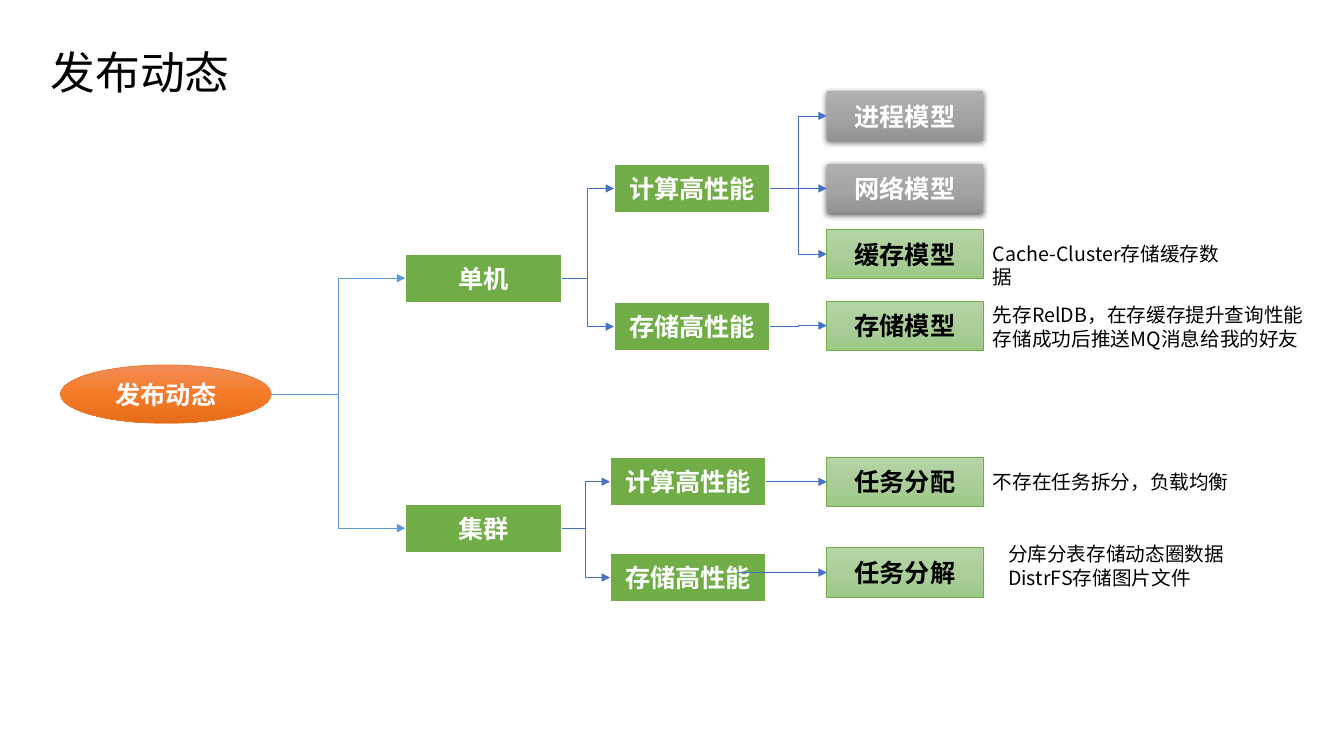
from lxml import etree
from pptx import Presentation
from pptx.dml.color import RGBColor
from pptx.enum.shapes import MSO_CONNECTOR, MSO_SHAPE
from pptx.enum.text import MSO_ANCHOR, PP_ALIGN
from pptx.oxml.ns import qn
from pptx.util import Inches, Pt

ELBOW = MSO_CONNECTOR.ELBOW
RECTANGLE, OVAL = MSO_SHAPE.RECTANGLE, MSO_SHAPE.OVAL
MIDDLE, TOP = MSO_ANCHOR.MIDDLE, MSO_ANCHOR.TOP
LEFT, CENTER = PP_ALIGN.LEFT, PP_ALIGN.CENTER
LEFT_SIDE, RIGHT_SIDE = 1, 3

FONT = "Noto Sans CJK SC"
COLORS = {
    "black": "000000", "white": "FFFFFF", "green": "70AD47",
    "orange": "ED7D31", "blue": "4472C4", "light blue": "5B9BD5",
}
GRADIENTS = {
    "orange": ("F18C57", "F67B28", "E56C19"),
    "gray": ("AFAFAF", "A5A5A5", "939393"),
    "pale green": ("B5D5A7", "AACE9A", "9CC987"),
}
STYLES = {
    "topic": {"fill": "green", "line": "white", "weight": 1.5, "color": "white"},
    "root": {"gradient": "orange", "line": "orange", "weight": 0.5, "color": "white"},
    "known": {"gradient": "gray", "color": "white", "shadow": True},
    "chosen": {"gradient": "pale green", "line": "green", "weight": 0.5, "color": "black"},
}

TITLE = "发布动态"
ROOT = ("发布动态", 0.6, 3.91)
ROOT_SIZE = (2.09, 0.58)
BOX_SIZE = (1.55, 0.49)
COLUMNS = {"scope": 4.02, "single goal": 6.09, "cluster goal": 6.05, "model": 8.2}
NODES = {
    "single": ("单机", "scope", 2.76, "topic"),
    "cluster": ("集群", "scope", 5.24, "topic"),
    "single compute": ("计算高性能", "single goal", 1.87, "topic"),
    "single storage": ("存储高性能", "single goal", 3.24, "topic"),
    "cluster compute": ("计算高性能", "cluster goal", 4.78, "topic"),
    "cluster storage": ("存储高性能", "cluster goal", 5.73, "topic"),
    "process": ("进程模型", "model", 1.15, "known"),
    "network": ("网络模型", "model", 1.87, "known"),
    "cache": ("缓存模型", "model", 2.52, "chosen"),
    "storage": ("存储模型", "model", 3.23, "chosen"),
    "assignment": ("任务分配", "model", 4.78, "chosen"),
    "division": ("任务分解", "model", 5.68, "chosen"),
}
BRANCHES = {
    "single": ("single compute", "single storage"),
    "cluster": ("cluster compute", "cluster storage"),
    "single compute": ("process", "network", "cache"),
    "single storage": ("storage",),
    "cluster compute": ("assignment",),
}
DIVISION_START = 7.31
NOTES = [
    (["Cache-Cluster存储缓存数据"], 9.75, 2.35, 2.52, 0.34),
    (["先存RelDB，在存缓存提升查询性能", "存储成功后推送MQ消息给我的好友"], 9.75, 2.96, 3.36, 0.57),
    (["不存在任务拆分，负载均衡"], 9.75, 4.61, 2.56, 0.34),
    (["分库分表存储动态圈数据", "DistrFS存储图片文件"], 9.9, 5.33, 2.36, 0.57),
]


def rgb(name):
    return RGBColor.from_string(COLORS[name])


def write(shape, lines, size=14, color="black", bold=False, align=LEFT, anchor=TOP, spacing=None):
    frame = shape.text_frame
    frame.word_wrap = True
    frame.vertical_anchor = anchor
    for index, line in enumerate(lines):
        para = frame.add_paragraph() if index else frame.paragraphs[0]
        para.alignment = align
        para.line_spacing = spacing
        span = para.add_run()
        span.text = line
        span.font.name = FONT
        span.font.size = Pt(size)
        span.font.bold = bold
        span.font.color.rgb = rgb(color)
        etree.SubElement(span.font._element, qn("a:ea"), typeface=FONT)


def fill_gradient(shape, name):
    shape.fill.gradient()
    shape.fill.gradient_angle = 270
    stops = shape._element.spPr.find(qn("a:gradFill")).find(qn("a:gsLst"))
    for stop in list(stops):
        stops.remove(stop)
    for index, color in enumerate(GRADIENTS[name]):
        stop = etree.SubElement(stops, qn("a:gs"), pos=str(index * 50000))
        etree.SubElement(stop, qn("a:srgbClr"), val=color)


def cast_shadow(shape):
    effects = shape._element.spPr.find(qn("a:effectLst"))
    shadow = etree.SubElement(
        effects, qn("a:outerShdw"), blurRad=str(Pt(4.5)), dist=str(Pt(1.5)),
        dir="5400000", algn="ctr", rotWithShape="0")
    color = etree.SubElement(shadow, qn("a:srgbClr"), val=COLORS["black"])
    etree.SubElement(color, qn("a:alpha"), val="63000")


def add_node(page, kind, label, left, center, size, style):
    width, height = size
    box = page.shapes.add_shape(
        kind, Inches(left), Inches(center - height / 2), Inches(width), Inches(height))
    box.shadow.inherit = False
    if "gradient" in style:
        fill_gradient(box, style["gradient"])
    else:
        box.fill.solid()
        box.fill.fore_color.rgb = rgb(style["fill"])
    if "line" in style:
        box.line.color.rgb = rgb(style["line"])
        box.line.width = Pt(style["weight"])
    else:
        box.line.fill.background()
    if style.get("shadow"):
        cast_shadow(box)
    write(box, [label], size=18, color=style["color"], bold=True, align=CENTER, anchor=MIDDLE)
    return box


def add_arrow(page, start, target, color="blue", source=None):
    end = (target.left, target.top + target.height // 2)
    arrow = page.shapes.add_connector(ELBOW, *start, *end)
    if source is not None:
        arrow.begin_connect(source, RIGHT_SIDE)
    arrow.end_connect(target, LEFT_SIDE)
    arrow.line.color.rgb = rgb(color)
    arrow.line.width = Pt(0.5)
    etree.SubElement(arrow.line._get_or_add_ln(), qn("a:tailEnd"), type="triangle")
    etree.SubElement(arrow._element.spPr, qn("a:effectLst"))


def right_middle(shape):
    return shape.left + shape.width, shape.top + shape.height // 2


def main():
    deck = Presentation()
    deck.slide_width, deck.slide_height = Inches(13.33), Inches(7.5)
    page = deck.slides.add_slide(deck.slide_layouts[5])

    title = page.shapes.title
    title.left, title.top = Inches(0.4), Inches(0.05)
    title.width, title.height = Inches(4.4), Inches(1.38)
    write(title, [TITLE], size=32, anchor=MIDDLE, spacing=0.9)

    root = add_node(page, OVAL, *ROOT, ROOT_SIZE, STYLES["root"])
    boxes = {
        key: add_node(page, RECTANGLE, label, COLUMNS[column], center, BOX_SIZE, STYLES[style])
        for key, (label, column, center, style) in NODES.items()
    }

    for key in ("single", "cluster"):
        add_arrow(page, right_middle(root), boxes[key], color="light blue")
    for key, targets in BRANCHES.items():
        for target in targets:
            add_arrow(page, right_middle(boxes[key]), boxes[target], source=boxes[key])
    division = boxes["division"]
    add_arrow(page, (Inches(DIVISION_START), right_middle(division)[1]), division)

    for lines, *place in NOTES:
        write(page.shapes.add_textbox(*map(Inches, place)), lines)

    deck.save("out.pptx")


if __name__ == "__main__":
    main()
